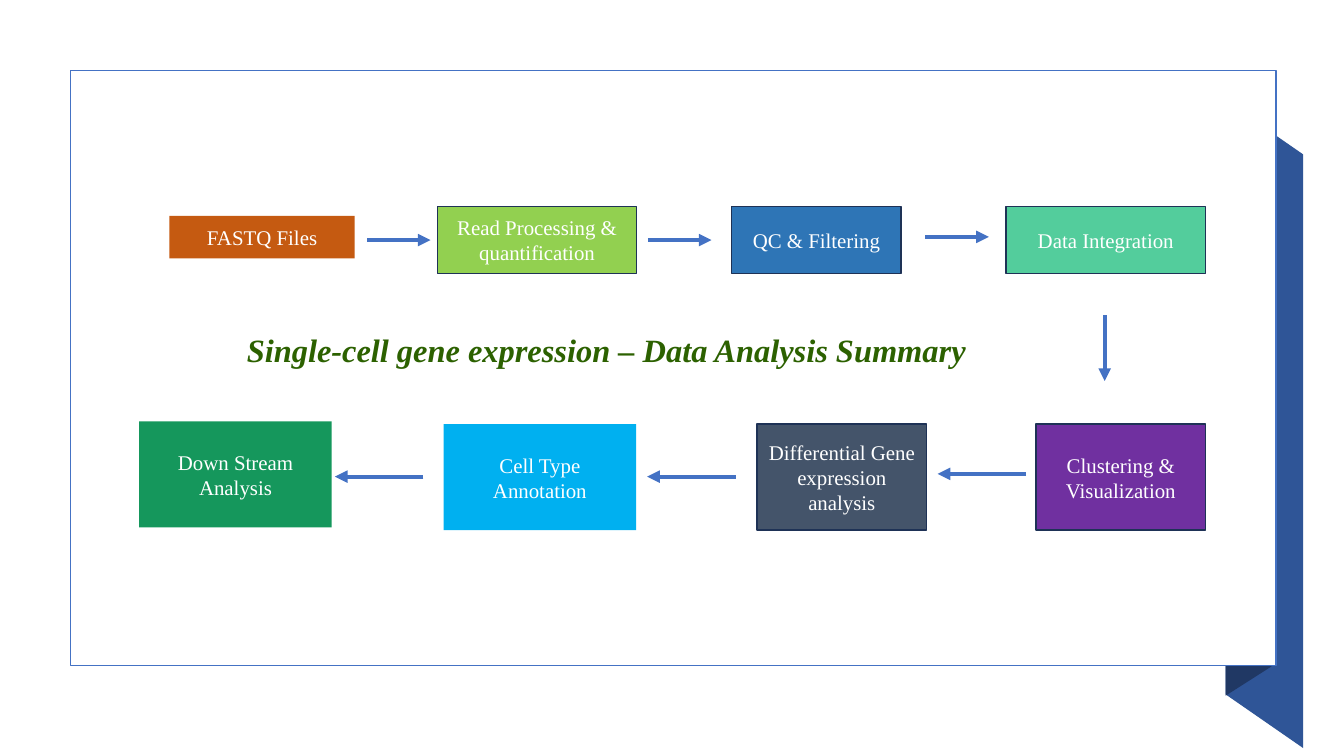
"""Build a one-page flow chart of single-cell gene expression analysis."""
from lxml.etree import SubElement
from pptx import Presentation
from pptx.dml.color import RGBColor
from pptx.enum.shapes import MSO_CONNECTOR, MSO_SHAPE
from pptx.enum.text import MSO_ANCHOR, PP_ALIGN
from pptx.oxml.ns import qn
from pptx.util import Cm, Pt

WHITE = RGBColor(0xFF, 0xFF, 0xFF)
BLUE = RGBColor(0x44, 0x72, 0xC4)
RIBBON = RGBColor(0x2F, 0x55, 0x97)
FOLD = RGBColor(0x20, 0x38, 0x64)
EDGE = RGBColor(0x1E, 0x32, 0x56)
ORANGE = RGBColor(0xC5, 0x5A, 0x11)
LIME = RGBColor(0x92, 0xD0, 0x50)
STEEL = RGBColor(0x2E, 0x75, 0xB6)
MINT = RGBColor(0x53, 0xCD, 0x9C)
PURPLE = RGBColor(0x70, 0x30, 0xA0)
SLATE = RGBColor(0x44, 0x54, 0x6A)
SKY = RGBColor(0x00, 0xB0, 0xF0)
GREEN = RGBColor(0x15, 0x97, 0x5C)
DARK_GREEN = RGBColor(0x2C, 0x61, 0x00)

TITLE = "Single-cell gene expression – Data Analysis Summary"
TITLE_AREA = (5.97, 8.2, 21.21, 1.24)
PANEL_AREA = (1.78, 1.78, 30.38, 14.99)

RIBBON_PARTS = [
    (RIBBON, [(32.84, 18.85), (30.89, 17.5), (30.89, 2.54), (32.84, 3.89)]),
    (FOLD, [(32.05, 16.79), (30.89, 17.53), (30.89, 2.54), (32.05, 1.78)]),
]

STEPS = [
    ("FASTQ Files", (4.27, 5.44, 4.67, 1.07), ORANGE, None),
    ("Read Processing & quantification", (11.02, 5.21, 5.03, 1.68), LIME, EDGE),
    ("QC & Filtering", (18.44, 5.21, 4.27, 1.68), STEEL, EDGE),
    ("Data Integration", (25.35, 5.21, 5.03, 1.68), MINT, EDGE),
    ("Clustering & Visualization", (26.11, 10.69, 4.27, 2.67), PURPLE, EDGE),
    ("Differential Gene expression analysis", (19.08, 10.69, 4.27, 2.67), SLATE, EDGE),
    ("Cell Type Annotation", (11.18, 10.69, 4.85, 2.67), SKY, None),
    ("Down Stream Analysis", (3.51, 10.62, 4.85, 2.67), GREEN, None),
]

RIGHT, DOWN, LEFT = (1.6, 0), (0, 1.65), (-2.23, 0)
ARROWS = [
    (9.25, 6.05, RIGHT),
    (16.33, 6.05, RIGHT),
    (23.32, 5.97, RIGHT),
    (27.84, 7.95, DOWN),
    (25.86, 11.94, LEFT),
    (18.54, 12.01, LEFT),
    (10.67, 12.01, LEFT),
]

STEP_FONT = {"name": "Times New Roman", "size": Pt(14.9)}
TITLE_FONT = {"name": "Times New Roman", "size": Pt(23.2), "bold": True, "italic": True}


def paint(shape, fill, line=None):
    shape.shadow.inherit = False
    shape.fill.solid()
    shape.fill.fore_color.rgb = fill
    if line is None:
        shape.line.fill.background()
    else:
        shape.line.color.rgb = line
        shape.line.width = Pt(1)


def add_box(page, area, fill, line):
    box = page.shapes.add_shape(MSO_SHAPE.RECTANGLE, *map(Cm, area))
    paint(box, fill, line)
    return box


def write(box, text, font, color, align):
    box.text_frame.word_wrap = True
    para = box.text_frame.paragraphs[0]
    para.alignment = align
    para.space_after = Pt(6)
    span = para.add_run()
    span.text = text
    for name, value in font.items():
        setattr(span.font, name, value)
    span.font.color.rgb = color


def add_ribbon_part(page, color, corners):
    points = [(Cm(x), Cm(y)) for x, y in corners]
    builder = page.shapes.build_freeform(*points[0], scale=1.0)
    builder.add_line_segments(points[1:], close=True)
    paint(builder.convert_to_shape(), color)


def add_arrow(page, x, y, step):
    ends = (x, y, x + step[0], y + step[1])
    arrow = page.shapes.add_connector(MSO_CONNECTOR.STRAIGHT, *map(Cm, ends))
    arrow.line.color.rgb = BLUE
    arrow.line.width = Pt(3)
    SubElement(arrow.line._get_or_add_ln(), qn("a:tailEnd"), type="triangle")
    SubElement(arrow._element.spPr, qn("a:effectLst"))


def main():
    deck = Presentation()
    deck.slide_width, deck.slide_height = Cm(33.87), Cm(19.05)
    page = deck.slides.add_slide(deck.slide_layouts[6])
    for color, corners in RIBBON_PARTS:
        add_ribbon_part(page, color, corners)
    add_box(page, PANEL_AREA, WHITE, BLUE)
    for text, area, fill, line in STEPS:
        box = add_box(page, area, fill, line)
        box.text_frame.vertical_anchor = MSO_ANCHOR.MIDDLE
        write(box, text, STEP_FONT, WHITE, PP_ALIGN.CENTER)
    for x, y, step in ARROWS:
        add_arrow(page, x, y, step)
    title = page.shapes.add_textbox(*map(Cm, TITLE_AREA))
    write(title, TITLE, TITLE_FONT, DARK_GREEN, PP_ALIGN.LEFT)
    deck.save("out.pptx")


if __name__ == "__main__":
    main()
